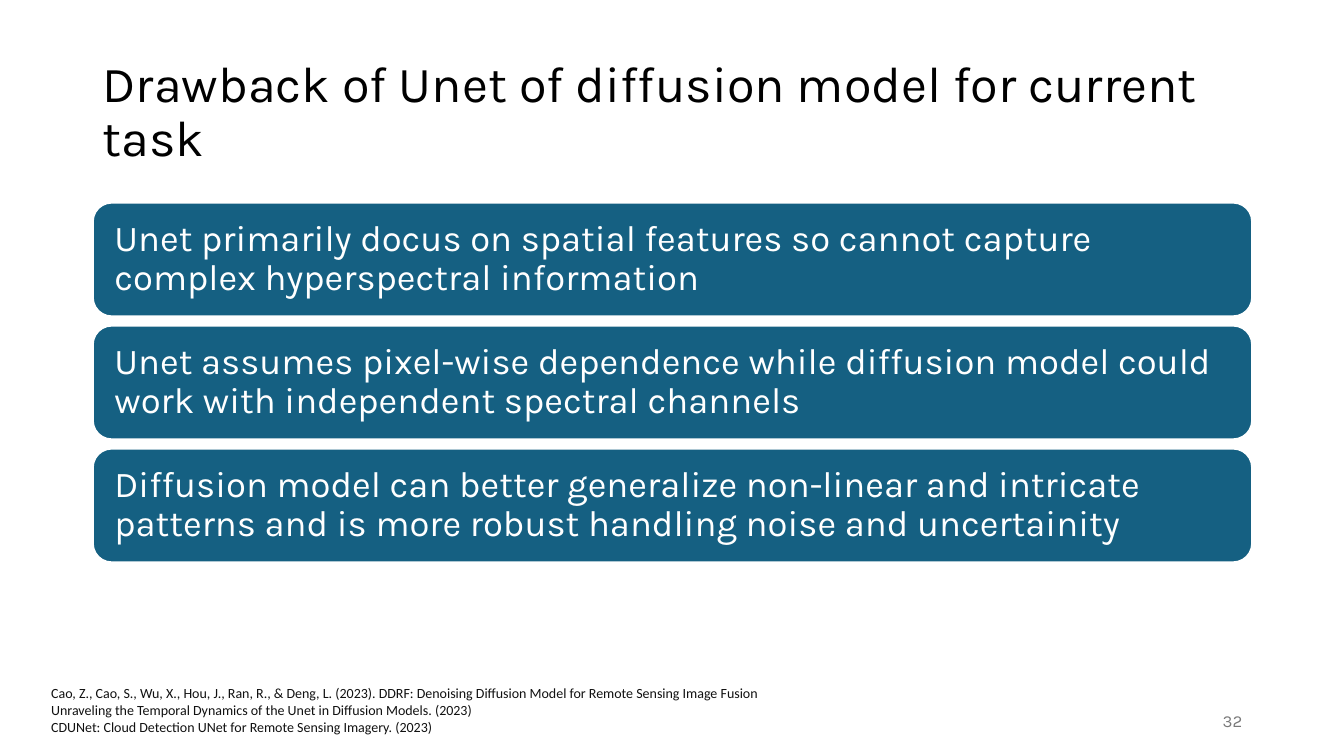
from pptx import Presentation
from pptx.dml.color import RGBColor
from pptx.enum.shapes import MSO_SHAPE as Shape
from pptx.enum.text import MSO_ANCHOR as Anchor, PP_ALIGN as Align
from pptx.util import Emu, Pt

TITLE = "Drawback of Unet of diffusion model for current task"
DRAWBACKS = [
    "Unet primarily docus on spatial features so cannot capture complex hyperspectral information",
    "Unet assumes pixel-wise dependence while diffusion model could work with independent spectral channels",
    "Diffusion model can better generalize non-linear and intricate patterns and is more robust handling noise and uncertainity",
]
REFERENCES = [
    "Cao, Z., Cao, S., Wu, X., Hou, J., Ran, R., & Deng, L. (2023). DDRF: Denoising Diffusion Model for Remote Sensing Image Fusion",
    "Unraveling the Temporal Dynamics of the Unet in Diffusion Models. (2023)",
    "CDUNet: Cloud Detection UNet for Remote Sensing Imagery. (2023)",
]
PAGE_NUMBER = "32"

TITLE_FORMAT = {"name": "Karla", "size": Pt(36), "color": "000000"}
CARD_FORMAT = {"name": "Karla", "size": Pt(26), "color": "FFFFFF"}
NUMBER_FORMAT = {"name": "Karla", "size": Pt(12), "color": "797979"}
REFERENCE_FORMAT = {"name": "Calibri", "size": Pt(10), "color": "111111"}

EMU_PER_PX = 9144
SLIDE_SIZE = (1333, 750)
LEFT, WIDTH = 92, 1150
CARD_TOP, CARD_HEIGHT, CARD_GAP = 201, 113, 9
CARD_INSETS = (16, 16, 16, 16)
TEXT_INSETS = (10, 5, 10, 5)


def px(*lengths):
    return [Emu(length * EMU_PER_PX) for length in lengths]


def color(value):
    return RGBColor.from_string(value)


def write(shape, lines, text_format, insets=TEXT_INSETS, anchor=Anchor.MIDDLE,
          align=Align.LEFT, line_spacing=1.0):
    frame = shape.text_frame
    left, top, right, bottom = px(*insets)
    settings = {"word_wrap": True, "vertical_anchor": anchor, "margin_left": left,
                "margin_top": top, "margin_right": right, "margin_bottom": bottom}
    for name, value in settings.items():
        setattr(frame, name, value)
    for index, line in enumerate(lines):
        paragraph = frame.add_paragraph() if index else frame.paragraphs[0]
        paragraph.alignment = align
        paragraph.line_spacing = line_spacing
        run = paragraph.add_run()
        run.text = line
        for name, value in text_format.items():
            if name == "color":
                run.font.color.rgb = color(value)
            else:
                setattr(run.font, name, value)


def add_text(slide, box, lines, text_format, **layout):
    write(slide.shapes.add_textbox(*px(*box)), lines, text_format, **layout)


def add_card(slide, top, text):
    card = slide.shapes.add_shape(
        Shape.ROUNDED_RECTANGLE, *px(LEFT, top, WIDTH, CARD_HEIGHT))
    card.shadow.inherit = False
    card.fill.solid()
    card.fill.fore_color.rgb = color("156082")
    card.line.color.rgb = color("FFFFFF")
    card.line.width = Pt(1.5)
    write(card, [text], CARD_FORMAT, insets=CARD_INSETS, line_spacing=0.9)


def main():
    presentation = Presentation()
    presentation.slide_width, presentation.slide_height = px(*SLIDE_SIZE)
    slide = presentation.slides.add_slide(presentation.slide_layouts[6])

    add_text(slide, (LEFT, 40, WIDTH, 145), [TITLE], TITLE_FORMAT, line_spacing=0.9)
    for index, drawback in enumerate(DRAWBACKS):
        add_card(slide, CARD_TOP + index * (CARD_HEIGHT + CARD_GAP), drawback)
    add_text(slide, (942, 695, 300, 40), [PAGE_NUMBER], NUMBER_FORMAT, align=Align.RIGHT)
    add_text(slide, (41, 674, 1110, 61), REFERENCES, REFERENCE_FORMAT, anchor=Anchor.TOP)

    presentation.save("out.pptx")


if __name__ == "__main__":
    main()
